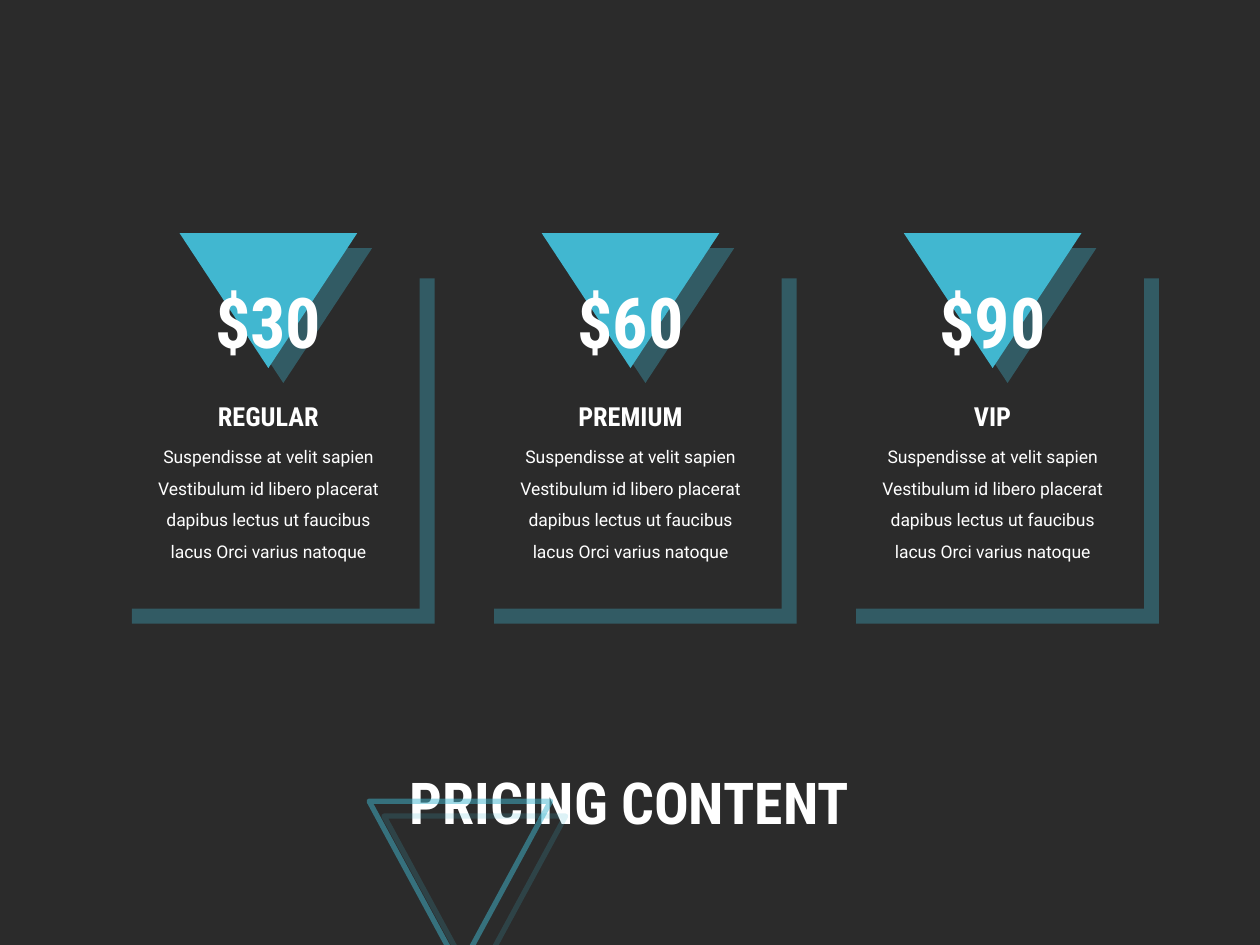
from lxml import etree
from pptx import Presentation
from pptx.dml.color import RGBColor
from pptx.enum import shapes, text
from pptx.oxml import ns
from pptx.util import Cm, Pt

DARK = RGBColor(0x2B, 0x2B, 0x2B)
TEAL = RGBColor(0x41, 0xB7, 0xD0)
WHITE = RGBColor(0xFF, 0xFF, 0xFF)

HEADING_FONT = "Roboto Condensed"
BODY_FONT = "Roboto"
PLANS = [("$30", "REGULAR"), ("$60", "PREMIUM"), ("$90", "VIP")]
DETAILS = ("Suspendisse at velit sapien Vestibulum id libero placerat "
           "dapibus lectus ut faucibus lacus Orci varius natoque")

CARD_LEFT, CARD_TOP, CARD_WIDTH, CARD_HEIGHT = 2.36, 5.31, 6.1, 6.96
CARD_PITCH = 7.3


def set_alpha(color_element, percent):
    alpha = etree.SubElement(color_element, ns.qn("a:alpha"))
    alpha.set("val", str(percent * 1000))


def add_offset_shadow(shape):
    """Give the shape a hard teal shadow to the lower right."""
    effects = shape.element.spPr.find(ns.qn("a:effectLst"))
    shadow = etree.SubElement(
        effects, ns.qn("a:outerShdw"), blurRad="0", dist=str(Pt(12.1)),
        dir=str(45 * 60000), algn="tl", rotWithShape="0")
    color = etree.SubElement(shadow, ns.qn("a:srgbClr"), val=str(TEAL))
    set_alpha(color, 35)


def add_shadowed_shape(page, kind, left, top, width, height, fill=None):
    shape = page.shapes.add_shape(kind, Cm(left), Cm(top), Cm(width), Cm(height))
    shape.shadow.inherit = False
    if fill is None:
        shape.fill.background()
    else:
        shape.fill.solid()
        shape.fill.fore_color.rgb = fill
    shape.line.fill.background()
    add_offset_shadow(shape)
    return shape


def add_down_triangle(page, left, top, width, height, fill=None):
    triangle = add_shadowed_shape(
        page, shapes.MSO_SHAPE.ISOSCELES_TRIANGLE, left, top, width, height, fill)
    triangle.rotation = 180
    return triangle


def add_text(page, words, left, top, width, height, *, size, font=HEADING_FONT,
             bold=True, spacing=1.0, anchor=text.MSO_ANCHOR.TOP):
    box = page.shapes.add_textbox(Cm(left), Cm(top), Cm(width), Cm(height))
    frame = box.text_frame
    frame.word_wrap = True
    frame.vertical_anchor = anchor
    para = frame.paragraphs[0]
    para.alignment = text.PP_ALIGN.CENTER
    para.line_spacing = spacing
    span = para.add_run()
    span.text = words
    span.font.name = font
    span.font.size = Pt(size)
    span.font.bold = bold
    span.font.color.rgb = WHITE


def add_backdrop(page):
    """Lay a translucent pointed panel over the top of the page."""
    builder = page.shapes.build_freeform(0, 0, scale=float(Cm(1)))
    builder.add_line_segments([(25.4, 0), (25.4, 2.44), (12.7, 11.56), (0, 2.44)])
    panel = builder.convert_to_shape()
    panel.shadow.inherit = False
    panel.fill.solid()
    panel.fill.fore_color.rgb = DARK
    set_alpha(panel.element.spPr.find(f"{ns.qn('a:solidFill')}/{ns.qn('a:srgbClr')}"), 80)
    panel.line.fill.background()


def add_outline_triangle(page):
    triangle = add_down_triangle(page, 7.44, 16.15, 3.66, 3.38)
    triangle.line.width = Pt(3)
    triangle.line.color.rgb = TEAL
    set_alpha(triangle.element.spPr.find(f"{ns.qn('a:ln')}//{ns.qn('a:srgbClr')}"), 50)


def add_plan(page, left, price, name):
    def centred(top, width, height):
        return left + (CARD_WIDTH - width) / 2, top, width, height

    add_shadowed_shape(page, shapes.MSO_SHAPE.RECTANGLE,
                       left, CARD_TOP, CARD_WIDTH, CARD_HEIGHT, DARK)
    add_down_triangle(page, *centred(4.7, 3.58, 2.72), TEAL)
    add_text(page, price, *centred(5.49, 3.18, 1.96), size=40)
    add_text(page, name, *centred(7.95, 3.58, 0.89), size=15)
    add_text(page, DETAILS, *centred(8.66, 5.36, 2.79), size=10,
             font=BODY_FONT, bold=False, spacing=1.5)


def main():
    deck = Presentation()
    deck.slide_width, deck.slide_height = Cm(25.4), Cm(19.05)
    page = deck.slides.add_slide(deck.slide_layouts[6])
    page.background.fill.solid()
    page.background.fill.fore_color.rgb = DARK

    add_text(page, "PRICING CONTENT", 6.22, 14.99, 12.95, 2.49, size=33,
             spacing=0.9, anchor=text.MSO_ANCHOR.MIDDLE)
    add_backdrop(page)
    add_outline_triangle(page)
    for index, (price, name) in enumerate(PLANS):
        add_plan(page, CARD_LEFT + index * CARD_PITCH, price, name)

    deck.save("out.pptx")


if __name__ == "__main__":
    main()
